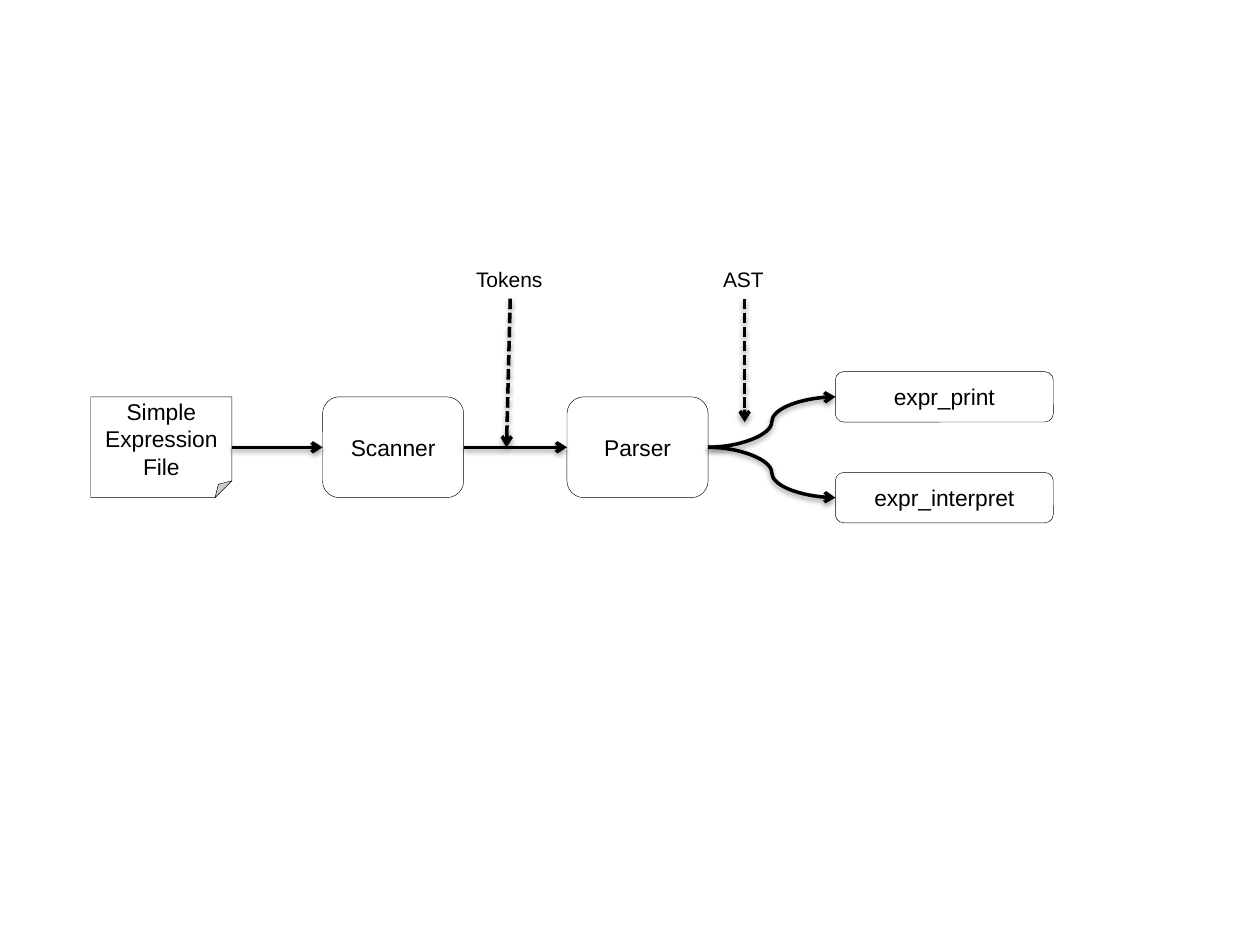
import pptx
import pptx.dml.color
import pptx.enum.dml
import pptx.enum.shapes
import pptx.enum.text
import pptx.oxml
import pptx.oxml.ns
import pptx.util
from dataclasses import dataclass

SHAPE = pptx.enum.shapes.MSO_SHAPE
CONNECTOR = pptx.enum.shapes.MSO_CONNECTOR
ALIGN = pptx.enum.text.PP_ALIGN
ANCHOR = pptx.enum.text.MSO_ANCHOR
DASH = pptx.enum.dml.MSO_LINE
TOP, LEFT, BOTTOM, RIGHT = range(4)  # connection sites


@dataclass(frozen=True)
class Theme:
    font: str = "Arial"
    ink: str = "000000"
    paper: str = "FFFFFF"
    box_size: float = 13
    label_size: float = 12
    outline: float = 0.25
    arrow: float = 2


THEME = Theme()
WIDTH, HEIGHT = 10, 7.5
COL = WIDTH / 100  # a column is one percent of the slide width
ROW = 0.4          # rows are counted from the flow axis
AXIS = 3.55


def x(cols):
    return pptx.util.Inches(cols * COL)


def y(rows):
    return pptx.util.Inches(AXIS + rows * ROW)


def rgb(value):
    return pptx.dml.color.RGBColor.from_string(value)


def write(tf, text, size=THEME.box_size, align=ALIGN.CENTER,
          anchor=ANCHOR.MIDDLE, wrap=True):
    tf.word_wrap = wrap
    tf.vertical_anchor = anchor
    p = tf.paragraphs[0]
    p.alignment = align
    r = p.add_run()
    r.text = text
    r.font.name = THEME.font
    r.font.size = pptx.util.Pt(size)
    r.font.color.rgb = rgb(THEME.ink)


def add_box(slide, text, col, row, cols, rows, kind=SHAPE.ROUNDED_RECTANGLE):
    """Outlined box, centred vertically on its row."""
    sp = slide.shapes.add_shape(kind, x(col), y(row - rows / 2), x(cols),
                                pptx.util.Inches(rows * ROW))
    sp.shadow.inherit = False
    sp.fill.solid()
    sp.fill.fore_color.rgb = rgb(THEME.paper)
    sp.line.color.rgb = rgb(THEME.ink)
    sp.line.width = pptx.util.Pt(THEME.outline)
    write(sp.text_frame, text)
    return sp


def add_label(slide, text, col, row, cols):
    sp = slide.shapes.add_textbox(x(col), y(row), x(cols),
                                  pptx.util.Inches(0.3))
    write(sp.text_frame, text, size=THEME.label_size, align=ALIGN.LEFT,
          anchor=ANCHOR.TOP, wrap=False)
    sp.text_frame.auto_size = pptx.enum.text.MSO_AUTO_SIZE.SHAPE_TO_FIT_TEXT
    return sp


def add_arrow(slide, start, end, kind=CONNECTOR.STRAIGHT, dash=None):
    """Arrow with a soft shadow below it."""
    cxn = slide.shapes.add_connector(kind, *start, *end)
    cxn.line.color.rgb = rgb(THEME.ink)
    cxn.line.width = pptx.util.Pt(THEME.arrow)
    if dash:
        cxn.line.dash_style = dash
    ns = pptx.oxml.ns.nsdecls("a")
    sp_pr = cxn._element.spPr
    sp_pr.find(pptx.oxml.ns.qn("a:ln")).append(
        pptx.oxml.parse_xml(f'<a:tailEnd {ns} type="arrow"/>'))
    sp_pr.append(pptx.oxml.parse_xml(
        f'<a:effectLst {ns}><a:outerShdw blurRad="40000" dist="20000" '
        f'dir="5400000" rotWithShape="0"><a:srgbClr val="{THEME.ink}">'
        '<a:alpha val="38000"/></a:srgbClr></a:outerShdw></a:effectLst>'))
    return cxn


def link(slide, source, target, kind=CONNECTOR.STRAIGHT):
    """Arrow from the right side of one box to the left side of another."""
    start = source.left + source.width, source.top + source.height // 2
    end = target.left, target.top + target.height // 2
    cxn = add_arrow(slide, start, end, kind)
    cxn.begin_connect(source, RIGHT)
    cxn.end_connect(target, LEFT)


def point_down(slide, label, col, row):
    """Dashed arrow from below a label to a place in the flow."""
    start = label.left + label.width // 2, label.top + label.height
    cxn = add_arrow(slide, start, (x(col), y(row)), dash=DASH.SQUARE_DOT)
    cxn.begin_connect(label, BOTTOM)


def main():
    prs = pptx.Presentation()
    prs.slide_width = pptx.util.Inches(WIDTH)
    prs.slide_height = pptx.util.Inches(HEIGHT)
    slide = prs.slides.add_slide(prs.slide_layouts[6])

    # Stages and outputs
    source = add_box(slide, "Simple Expression File", 7.2, 0, 11.2, 2,
                     SHAPE.FOLDED_CORNER)
    scanner = add_box(slide, "Scanner", 25.6, 0, 11.2, 2)
    parser = add_box(slide, "Parser", 45, 0, 11.2, 2)
    outputs = [add_box(slide, text, 66.3, row, 17.3, 1)
               for text, row in (("expr_print", -1), ("expr_interpret", 1))]

    # Flow between them
    link(slide, source, scanner)
    link(slide, scanner, parser)
    for output in outputs:
        link(slide, parser, output, CONNECTOR.CURVE)

    # Names of what is passed on
    for text, col, cols, tip_col, tip_row in (
            ("Tokens", 36.8, 7.4, 40.2, 0), ("AST", 56.4, 5.4, 59.1, -0.5)):
        label = add_label(slide, text, col, -3.7, cols)
        point_down(slide, label, tip_col, tip_row)

    prs.save("out.pptx")


main()
